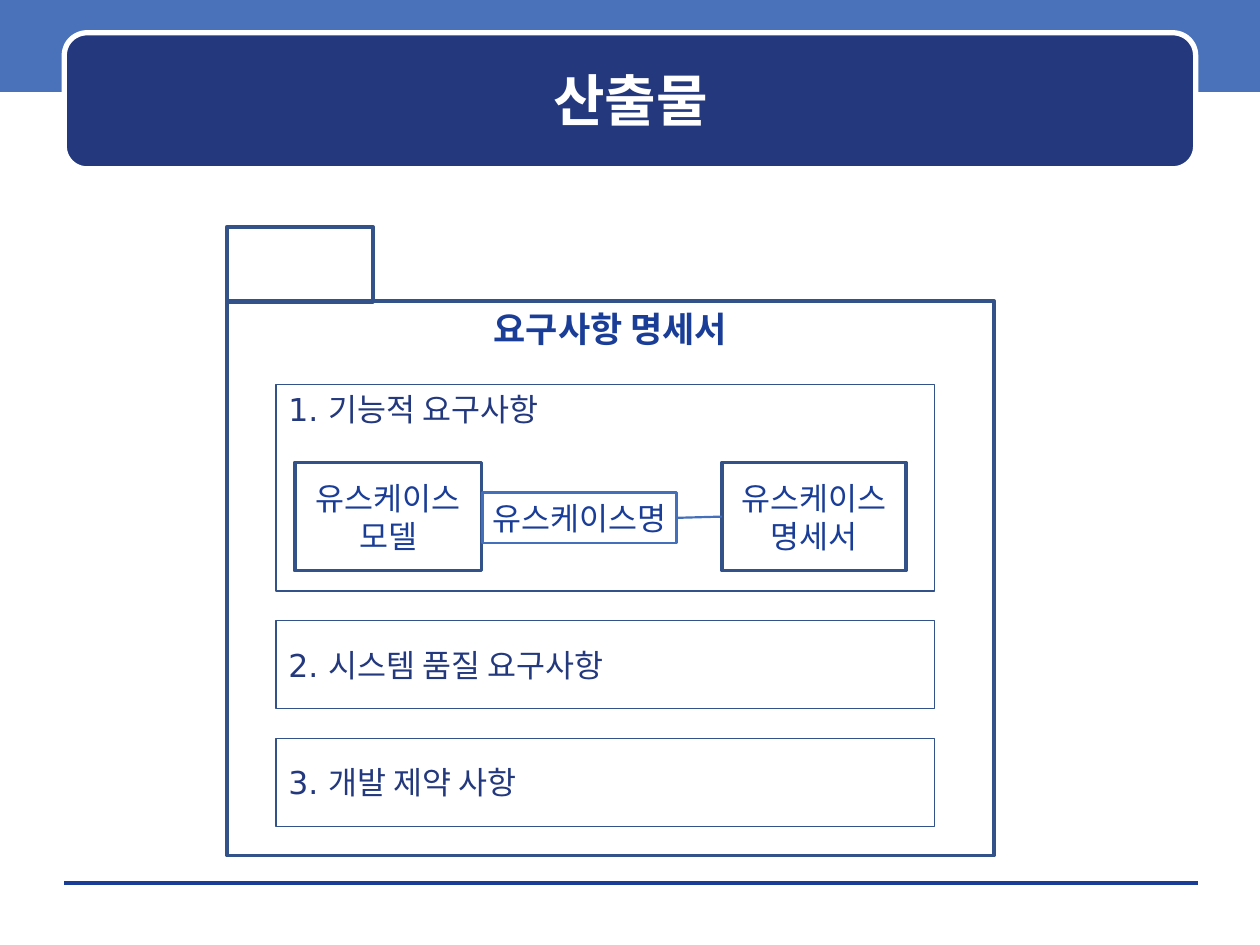
from dataclasses import dataclass

from lxml.etree import SubElement
from pptx import Presentation
from pptx.dml.color import RGBColor
from pptx.enum.shapes import MSO_CONNECTOR, MSO_SHAPE
from pptx.enum.text import MSO_ANCHOR, PP_ALIGN
from pptx.oxml.ns import qn
from pptx.util import Inches, Pt


@dataclass(frozen=True)
class Theme:
    band: str = "4972BB"
    navy: str = "23387D"
    blue: str = "1A3D97"
    edge: str = "335289"
    link: str = "446FBA"
    white: str = "FFFFFF"
    latin: str = "DejaVu Sans"
    korean: str = "Noto Sans CJK KR"
    title_size: int = 32
    heading_size: int = 20
    body_size: int = 18


T = Theme()


@dataclass(frozen=True)
class Box:
    at: tuple[float, float, float, float]
    text: str = ""
    color: str = T.navy
    size: int = T.body_size
    font: str = T.latin
    bold: bool = False
    align: PP_ALIGN = PP_ALIGN.LEFT
    anchor: MSO_ANCHOR = MSO_ANCHOR.MIDDLE
    inset: float = 0.1
    edge: str | None = T.edge
    weight: float = 0.75
    fill: str | None = None
    shape: MSO_SHAPE = MSO_SHAPE.RECTANGLE


def write(sp, box: Box) -> None:
    """Write the text of a box into a shape or placeholder."""
    tf = sp.text_frame
    frame = {"word_wrap": True, "vertical_anchor": box.anchor,
             "margin_left": Inches(box.inset), "margin_right": Inches(box.inset),
             "margin_top": Inches(0.05), "margin_bottom": Inches(0.05)}
    for name, value in frame.items():
        setattr(tf, name, value)
    tf.text = box.text
    for p in tf.paragraphs:
        p.alignment = box.align
        for r in p.runs:
            for name, value in {"name": box.font, "size": Pt(box.size), "bold": box.bold}.items():
                setattr(r.font, name, value)
            r.font.color.rgb = RGBColor.from_string(box.color)
            # East Asian typeface for the Korean text
            SubElement(r.font._element, qn("a:ea"), typeface=T.korean)


def draw_box(s, box: Box):
    sp = s.shapes.add_shape(box.shape, *map(Inches, box.at))
    sp.shadow.inherit = False
    if box.fill:
        sp.fill.solid()
        sp.fill.fore_color.rgb = RGBColor.from_string(box.fill)
    else:
        sp.fill.background()
    if box.edge:
        sp.line.color.rgb = RGBColor.from_string(box.edge)
        sp.line.width = Pt(box.weight)
    else:
        sp.line.fill.background()
    if box.text:
        write(sp, box)
    return sp


def draw_line(s, start: tuple[float, float], end: tuple[float, float], color: str, weight: float):
    line = s.shapes.add_connector(MSO_CONNECTOR.STRAIGHT, *map(Inches, start + end))
    line.line.color.rgb = RGBColor.from_string(color)
    line.line.width = Pt(weight)
    SubElement(line._element.spPr, qn("a:effectLst"))
    return line


def main() -> None:
    prs = Presentation()
    prs.slide_width, prs.slide_height = Inches(10), Inches(7.5)
    s = prs.slides.add_slide(prs.slide_layouts[5])

    # Header band, title panel and footer rule
    draw_box(s, Box((0, -0.03, 10, 0.76), fill=T.band, edge=None))
    draw_line(s, (0.51, 7.01), (9.51, 7.01), T.blue, 0)
    draw_box(s, Box((0.51, 0.26, 8.98, 1.08), fill=T.navy, edge=T.white, weight=3,
                    shape=MSO_SHAPE.ROUNDED_RECTANGLE))

    # Title, brought in front of its panel
    heading = Box((0.6, 0.35, 8.81, 0.88), "산출물", T.white, T.title_size, T.korean, True,
                  PP_ALIGN.CENTER)
    title = s.shapes.title
    for name, value in zip(("left", "top", "width", "height"), heading.at):
        setattr(title, name, Inches(value))
    write(title, heading)
    title._element.getparent().append(title._element)

    # Folder with its tab
    draw_box(s, Box((1.8, 1.8, 1.16, 0.6), weight=2))
    draw_box(s, Box((1.8, 2.39, 6.09, 4.4), "요구사항 명세서", T.blue, T.heading_size, T.korean,
                    True, PP_ALIGN.CENTER, MSO_ANCHOR.TOP, weight=2))

    # Sections of the specification
    left, width, top, gap = 2.19, 5.23, 3.05, 0.235
    sections = (("1. 기능적 요구사항", 1.64, MSO_ANCHOR.TOP),
                ("2. 시스템 품질 요구사항", 0.7, MSO_ANCHOR.MIDDLE),
                ("3. 개발 제약 사항", 0.7, MSO_ANCHOR.MIDDLE))
    for text, height, anchor in sections:
        draw_box(s, Box((left, top, width, height), text, anchor=anchor))
        top += height + gap

    # Use case model, linked to its specification by use case name
    def use_case(x: float, w: float, text: str):
        return draw_box(s, Box((x, 3.67, w, 0.86), text, T.blue, align=PP_ALIGN.CENTER, weight=2))

    use_case(2.34, 1.48, "유스케이스\n모델")
    spec_box = use_case(5.73, 1.46, "유스케이스\n명세서")
    name_box = draw_box(s, Box((3.83, 3.91, 1.54, 0.4), "유스케이스명", T.blue,
                               align=PP_ALIGN.CENTER, inset=0, edge=T.link, weight=1.25))
    link = draw_line(s, (5.37, 4.11), (5.73, 4.1), T.link, 1.25)
    link.begin_connect(name_box, 3)
    link.end_connect(spec_box, 1)

    prs.save("out.pptx")


if __name__ == "__main__":
    main()
